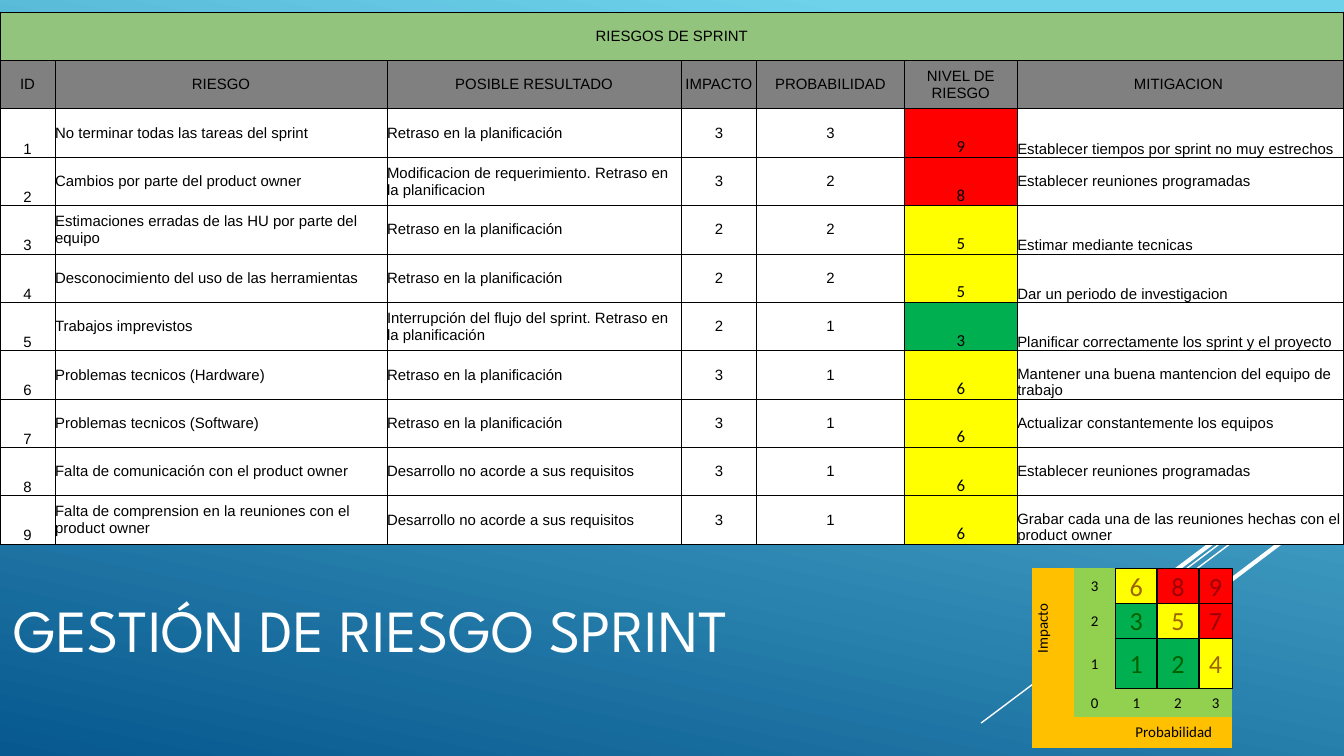
from lxml import etree
from pptx import Presentation
from pptx import util as u
from pptx.dml.color import RGBColor
from pptx.enum import shapes, text
from pptx.oxml import ns

BLACK = RGBColor(0x00, 0x00, 0x00)
WHITE = RGBColor(0xFF, 0xFF, 0xFF)
GRAY = RGBColor(0x80, 0x80, 0x80)
SAGE = RGBColor(0x93, 0xC4, 0x7D)
LIME = RGBColor(0x92, 0xD0, 0x50)
AMBER = RGBColor(0xFF, 0xC0, 0x00)
RED = RGBColor(0xFF, 0x00, 0x00)
YELLOW = RGBColor(0xFF, 0xFF, 0x00)
GREEN = RGBColor(0x00, 0xB0, 0x50)
SKY = RGBColor(0x6E, 0xD2, 0xEB)
NAVY = RGBColor(0x06, 0x58, 0x8E)
DARK_RED = RGBColor(0x9C, 0x00, 0x06)
BROWN = RGBColor(0x9C, 0x65, 0x00)
DARK_GREEN = RGBColor(0x00, 0x61, 0x00)

WIDE = 10
HIGH = WIDE * 9 / 16
MID, LOW = text.MSO_ANCHOR.MIDDLE, text.MSO_ANCHOR.BOTTOM
LEFT, MIDDLE = text.PP_ALIGN.LEFT, text.PP_ALIGN.CENTER
PLAIN = "{2D5ABB26-0587-4C30-8999-92F81FD0307C}"  # table style without grid

HEADS = ["ID", "RIESGO", "POSIBLE RESULTADO", "IMPACTO", "PROBABILIDAD",
         "NIVEL DE RIESGO", "MITIGACION "]
DELAY = "Retraso en la planificación"
UNMET = "Desarrollo no acorde a sus requisitos"
MEET = "Establecer reuniones programadas"
# risk, result, impact, probability, level, mitigation, its anchor
RISKS = [
    ("No terminar todas las tareas del sprint", DELAY, 3, 3, 9,
     "Establecer tiempos por sprint no muy estrechos", LOW),
    ("Cambios por parte del product owner",
     "Modificacion de requerimiento. Retraso en la planificacion", 3, 2, 8, MEET, MID),
    ("Estimaciones erradas de las HU por parte del equipo", DELAY, 2, 2, 5,
     "Estimar mediante tecnicas", LOW),
    ("Desconocimiento del uso de las herramientas", DELAY, 2, 2, 5,
     "Dar un periodo de investigacion", LOW),
    ("Trabajos imprevistos",
     "Interrupción del flujo del sprint. Retraso en la planificación", 2, 1, 3,
     "Planificar correctamente los sprint y el proyecto", LOW),
    ("Problemas tecnicos (Hardware)", DELAY, 3, 1, 6,
     "Mantener una buena mantencion del equipo de trabajo", LOW),
    ("Problemas tecnicos (Software)", DELAY, 3, 1, 6,
     "Actualizar constantemente los equipos", MID),
    ("Falta de comunicación con el product owner", UNMET, 3, 1, 6, MEET, MID),
    ("Falta de comprension en la reuniones con el product owner", UNMET, 3, 1, 6,
     "Grabar cada una de las reuniones hechas con el product owner", LOW),
]
LEVELS = [(6, 8, 9), (3, 5, 7), (1, 2, 4)]  # impact 3 to 1, probability 1 to 3
# x1, y1, x2, y2, width
RAYS = [(10, 3.19, 9.17, 3.81, 0.75), (10, 3.35, 7.3, 5.38, 0.75),
        (10, 3.41, 8.28, 4.7, 0.75), (9.99, 3.31, 8.42, 4.49, 2.25),
        (9.99, 3.69, 8.85, 4.55, 2.25)]


def shade(level):
    """Fill and text colour of a risk level."""
    if level > 6:
        return RED, DARK_RED
    return (YELLOW, BROWN) if level > 3 else (GREEN, DARK_GREEN)


def assign(item, values):
    for name, value in values.items():
        setattr(item, name, value)


class Deck:
    def __init__(self, wide, high):
        self.prs = Presentation()
        assign(self.prs, {"slide_width": u.Inches(wide), "slide_height": u.Inches(high)})
        self.slide = self.prs.slides.add_slide(self.prs.slide_layouts[5])

    def ground(self, first, last, angle):
        fill = self.slide.background.fill
        fill.gradient()
        fill.gradient_angle = angle
        for stop, (place, color) in zip(fill.gradient_stops, (first, last)):
            stop.position = place
            stop.color.rgb = color

    def line(self, x1, y1, x2, y2, width):
        ray = self.slide.shapes.add_connector(
            shapes.MSO_CONNECTOR.STRAIGHT, *map(u.Inches, (x1, y1, x2, y2)))
        ray.line.color.rgb = WHITE
        ray.line.width = u.Pt(width)
        etree.SubElement(ray._element.spPr, ns.qn("a:effectLst"))

    def title(self, words, box):
        shape = self.slide.shapes.title
        assign(shape, dict(zip(("left", "top", "width", "height"), map(u.Inches, box))))
        frame = shape.text_frame
        assign(frame, {"text": words, "word_wrap": True, "vertical_anchor": MID,
                       "auto_size": text.MSO_AUTO_SIZE.NONE})
        para = frame.paragraphs[0]
        para.alignment = LEFT
        font = para.runs[0].font
        assign(font, {"name": "League Spartan", "size": u.Pt(32)})
        font.color.rgb = WHITE

    def table(self, x, y, cols, rows):
        box = map(u.Inches, (x, y, sum(cols), sum(rows)))
        frame = self.slide.shapes.add_table(len(rows), len(cols), *box)
        grid = frame.table
        assign(grid, {"first_row": False, "horz_banding": False})
        grid._tbl.tblPr.find(ns.qn("a:tableStyleId")).text = PLAIN
        for col, width in zip(grid.columns, cols):
            col.width = u.Inches(width)
        for row, height in zip(grid.rows, rows):
            row.height = u.Inches(height)
        return grid

    def cell(self, cell, words, fill, font="Calibri", size=8, color=BLACK,
             align=MIDDLE, anchor=MID, inset=0.0, edges="LRTB", width=1.0, **para):
        """Fill one cell; edges names the sides that carry a black line."""
        side = u.Inches(inset)
        assign(cell, {"margin_left": side, "margin_right": side, "margin_top": 0,
                      "margin_bottom": 0, "vertical_anchor": anchor})
        cell.fill.solid()
        cell.fill.fore_color.rgb = fill
        line = cell.text_frame.paragraphs[0]
        assign(line, {"alignment": align, **para})
        if words == "":
            end = etree.SubElement(line._p, ns.qn("a:endParaRPr"))
            end.set("sz", str(size * 100))
        else:
            run = line.add_run()
            run.text = str(words)
            assign(run.font, {"name": font, "size": u.Pt(size)})
            run.font.color.rgb = color
        props = cell._tc.get_or_add_tcPr()
        for spot, edge in enumerate("LRTB"):
            rule = etree.Element(ns.qn("a:ln" + edge), w=str(u.Pt(width)))
            if edge in edges:
                solid = etree.SubElement(rule, ns.qn("a:solidFill"))
                etree.SubElement(solid, ns.qn("a:srgbClr"), val=str(BLACK))
            else:
                etree.SubElement(rule, ns.qn("a:noFill"))
            props.insert(spot, rule)


def add_risks(deck):
    grid = deck.table(0, 0.09, [0.41, 2.47, 2.19, 0.56, 1.1, 0.84, 2.43], [0.36] * 11)
    style = {"font": "Arial", "width": 0.5}
    grid.cell(0, 0).merge(grid.cell(0, 6))
    for col, head in enumerate(HEADS):
        deck.cell(grid.cell(0, col), "" if col else "RIESGOS DE SPRINT", SAGE, **style)
        deck.cell(grid.cell(1, col), head, GRAY, **style)
    for num, (*values, last) in enumerate(RISKS, 1):
        anchors = [LOW, MID, MID, MID, MID, LOW, last]
        for col, (words, anchor) in enumerate(zip([num, *values], anchors)):
            look = {**style, "anchor": anchor, "align": LEFT if col in (1, 2, 6) else MIDDLE}
            fill = WHITE
            if col == 5:
                fill = shade(words)[0]
                look.update(font="Calibri", size=9)
            deck.cell(grid.cell(num + 1, col), words, fill, **look)


def add_matrix(deck):
    grid = deck.table(7.68, 4.23, [0.31] * 4 + [0.25], [0.26] * 3 + [0.21, 0.23])
    style = {"inset": 0.05, "line_spacing": 1.07, "space_after": u.Pt(8)}
    grid.cell(0, 0).merge(grid.cell(2, 0))
    grid.cell(4, 2).merge(grid.cell(4, 4))
    for row in range(5):
        deck.cell(grid.cell(row, 0), "" if row else "Impacto", AMBER, edges="", **style)
    grid.cell(0, 0)._tc.get_or_add_tcPr().set("vert", "vert270")
    for row, levels in enumerate(LEVELS):
        deck.cell(grid.cell(row, 1), 3 - row, LIME, edges="R", **style)
        for col, level in enumerate(levels, 2):
            fill, color = shade(level)
            deck.cell(grid.cell(row, col), level, fill, size=14, color=color, **style)
    for col in range(1, 5):
        deck.cell(grid.cell(3, col), col - 1, LIME, edges="T" if col > 1 else "", **style)
        deck.cell(grid.cell(4, col), "Probabilidad" if col == 2 else "", AMBER,
                  edges="", **style)


def main():
    deck = Deck(WIDE, HIGH)
    deck.ground((0.1, SKY), (1, NAVY), 258)
    for ray in RAYS:
        deck.line(*ray)
    deck.title("GESTIÓN DE RIESGO SPRINT", (0, 4.05, 7.17, 1.25))
    add_risks(deck)
    add_matrix(deck)
    deck.prs.save("out.pptx")


if __name__ == "__main__":
    main()
